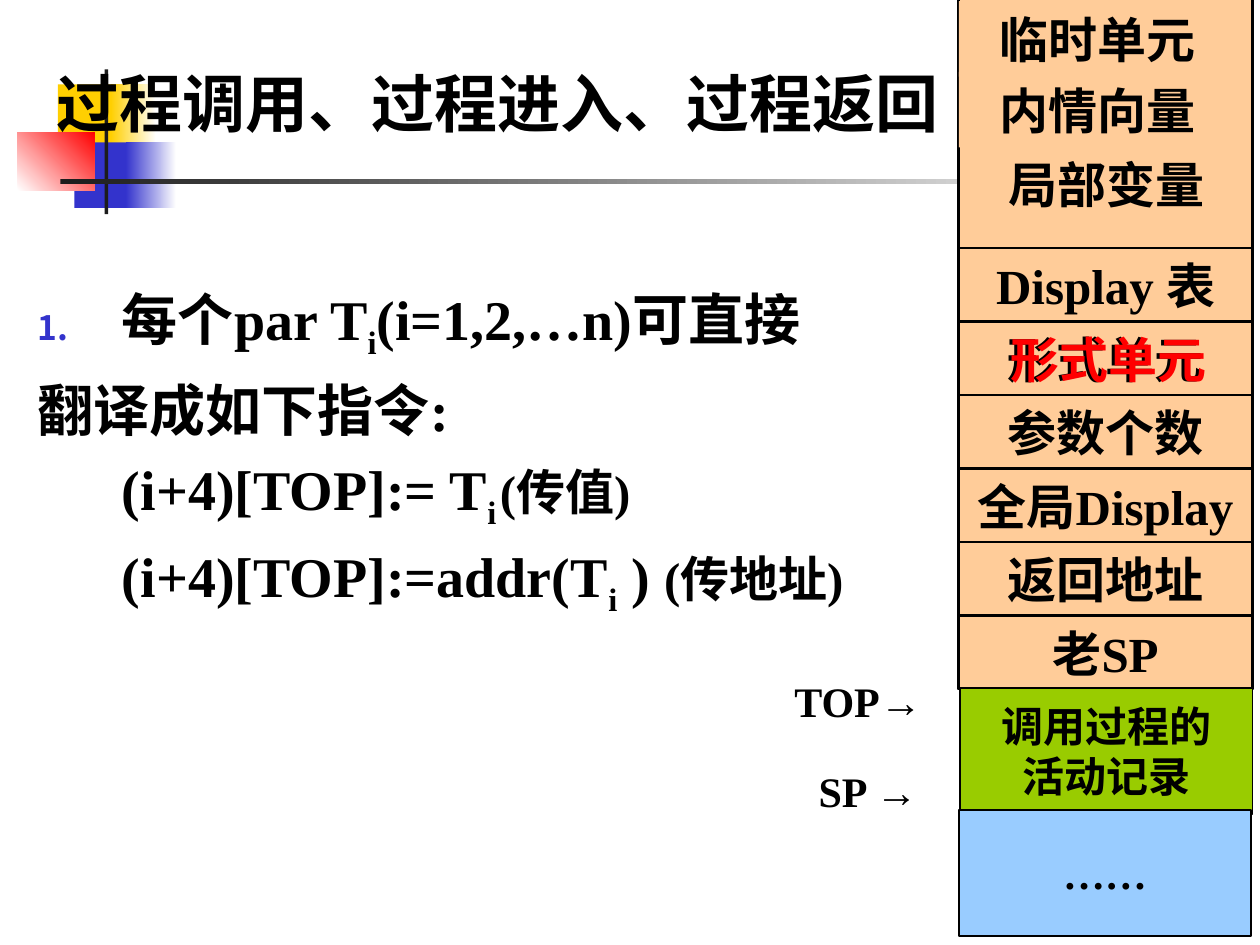
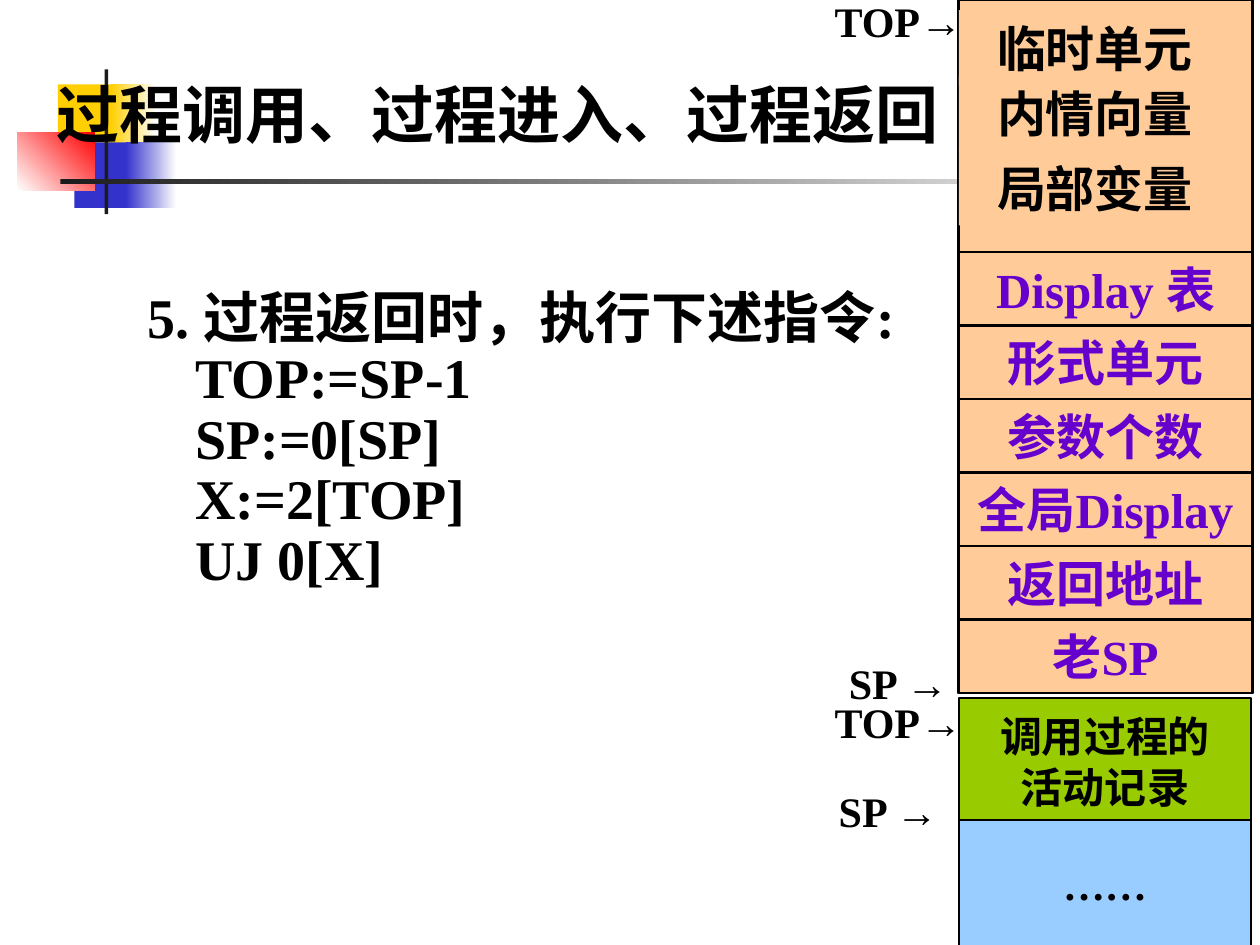
from lxml.etree import SubElement
from pptx import Presentation
from pptx.dml.color import RGBColor as Rgb
from pptx.enum.shapes import MSO_SHAPE as Shape
from pptx.enum.text import MSO_ANCHOR as Anchor, PP_ALIGN as Align
from pptx.oxml.ns import qn
from pptx.util import Inches, Pt

COLORS = {"black": "000000", "white": "FFFFFF", "yellow": "FFCF01",
          "blue": "3333CC", "red": "FF0000", "dark": "1C1C1C",
          "peach": "FFCC99", "green": "99CC00", "sky": "99CCFF",
          "purple": "6600CC"}
SERIF = "Times New Roman"
TITLE = "过程调用、过程进入、过程返回"
STACK_LEFT, STACK_WIDTH, STACK_HEIGHT = 7.61, 2.33, 5.5
LOCALS = ["临时单元", "内情向量", "局部变量"]
ROWS = ["Display 表", "形式单元", "参数个数", "全局Display", "返回地址", "老SP"]
ROWS_OFFSET = 2
CALLER = ["调用过程的", "活动记录"]
DECORATION = [
    ((0.46, 0.67, 0.48, 0.52), ("yellow",), 0),
    ((0.88, 0.67, 0.36, 0.52), ("yellow", "white"), 0),
    ((0.59, 1.13, 0.46, 0.52), ("blue",), 0),
    ((1, 1.13, 0.4, 0.52), ("blue", "white"), 0),
    ((0.14, 1.05, 0.61, 0.46), ("white", "red"), 45),
    ((0.83, 0.55, 0.03, 1.15), ("dark",), 0),
    ((0.48, 1.42, 9, 0.04), ("dark", "white"), 0),
]


def rgb(name):
    """Return the named colour."""
    return Rgb.from_string(COLORS[name])


def apply(target, values):
    """Set each attribute of the target from a dict."""
    for key, value in values.items():
        setattr(target, key, value)


def add_span(para, text, size, color="black", font=SERIF, baseline=0):
    """Add one bold run to a paragraph."""
    span = para.add_run()
    span.text = text
    apply(span.font, {"size": Pt(size), "bold": True, "name": font})
    span.font.color.rgb = rgb(color)
    if baseline:
        span._r.get_or_add_rPr().set("baseline", str(baseline * 1000))


def add_paragraph(frame, spans, size, color="black", **layout):
    """Add a paragraph of (text, changes) spans, reusing an empty first one."""
    first = frame.paragraphs[0]
    para = frame.add_paragraph() if first.runs else first
    apply(para, layout)
    for text, changes in spans:
        add_span(para, text, **{"size": size, "color": color, **changes})
    return para


def add_text_box(page, place, wrap=True, anchor=Anchor.TOP):
    """Add an empty text box and return its text frame."""
    frame = page.shapes.add_textbox(*map(Inches, place)).text_frame
    apply(frame, {"word_wrap": wrap, "vertical_anchor": anchor})
    return frame


def add_box(page, place, fills, angle=0, line=0):
    """Add a rectangle with a solid or two-colour gradient fill."""
    box = page.shapes.add_shape(Shape.RECTANGLE, *map(Inches, place))
    box.shadow.inherit = False
    if len(fills) == 1:
        box.fill.solid()
        box.fill.fore_color.rgb = rgb(fills[0])
    else:
        box.fill.gradient()
        box.fill.gradient_angle = angle
        for stop, name in zip(box.fill.gradient_stops, fills):
            stop.color.rgb = rgb(name)
    if line:
        box.line.width = Pt(line)
        box.line.color.rgb = rgb("black")
    else:
        box.line.fill.background()
    return box


def add_cell(page, place, lines, fill="peach", size=28, color="black", line=0):
    """Add a filled cell with centred lines of text."""
    frame = add_box(page, place, [fill], line=line).text_frame
    apply(frame, {"word_wrap": False, "vertical_anchor": Anchor.MIDDLE})
    for text in lines:
        add_paragraph(frame, [(text, {})], size, color, alignment=Align.CENTER)


def add_decoration(page):
    """Add the coloured squares and rules behind the title."""
    for place, fills, angle in DECORATION:
        add_box(page, place, fills, angle)


def add_title(page, place):
    """Add the shared title."""
    frame = add_text_box(page, place, anchor=Anchor.MIDDLE)
    add_paragraph(frame, [(TITLE, {})], 36)


def add_stack(page, top, local_places, row_color):
    """Add the activation record: frame, local cells and linkage rows."""
    add_box(page, (STACK_LEFT, top, STACK_WIDTH, STACK_HEIGHT), ["peach"], line=1.5)
    for text, place in zip(LOCALS, local_places):
        add_cell(page, place, [text])
    height = (STACK_HEIGHT - ROWS_OFFSET) / len(ROWS)
    for index, text in enumerate(ROWS):
        place = (STACK_LEFT, top + ROWS_OFFSET + index * height, STACK_WIDTH, height)
        add_cell(page, place, [text], color=row_color, line=1.5)


def add_caller(page, left, top):
    """Add the caller's record and the rest of the stack."""
    add_cell(page, (left, top, 2.32, 1), CALLER, "green", 24, line=1)
    add_cell(page, (STACK_LEFT, top + 0.97, 2.32, 1), ["……"], "sky", 24, line=1)


def add_pointer(page, name, left, top):
    """Add a stack pointer label with its arrow sign."""
    frame = add_text_box(page, (left, top, 1.42, 0.33), False, Anchor.MIDDLE)
    add_paragraph(frame, [(name, {}), ("→", {"font": "Arial"})], 24,
                  alignment=Align.CENTER)


def indent(para, left, first=0):
    """Set the left margin and first-line indent of a paragraph."""
    properties = para._p.get_or_add_pPr()
    properties.set("marL", str(Inches(left)))
    properties.set("indent", str(Inches(first)))
    return properties


def add_number(properties):
    """Give a paragraph a small blue automatic number."""
    color = SubElement(properties, qn("a:buClr"))
    SubElement(color, qn("a:srgbClr"), val=COLORS["blue"])
    SubElement(properties, qn("a:buSzPct"), val="60000")
    SubElement(properties, qn("a:buFont"), typeface="Arial")
    SubElement(properties, qn("a:buAutoNum"), type="arabicPeriod")


def add_tab(properties, position):
    """Add a left tab stop to a paragraph."""
    tabs = SubElement(properties, qn("a:tabLst"))
    SubElement(tabs, qn("a:tab"), pos=str(Inches(position)), algn="l")


def add_parameter_text(page):
    """Add the text on passing parameters."""
    frame = add_text_box(page, (0.2, 2.21, 6.93, 4.5))
    sub, note = ("i", {"baseline": -25}), {"size": 28}
    para = add_paragraph(
        frame, [("每个par T", {}), sub, ("(i=1,2,…n)可直接", {})], 32)
    add_number(indent(para, 0.67, -0.67))
    add_paragraph(frame, [("翻译成如下指令:", {})], 32, space_before=Pt(8))
    para = add_paragraph(
        frame, [("(i+4)[TOP]:= T", {}), sub, ("\t", {}), ("(传值)", note)],
        32, space_before=Pt(7))
    add_tab(indent(para, 0.67), 4.2)
    para = add_paragraph(
        frame, [("(i+4)[TOP]:=addr(T", {}), sub, (" ) ", {}), ("(传地址)", note)],
        32, space_before=Pt(6))
    indent(para, 0.67)


def add_return_text(page):
    """Add the instructions run on procedure return."""
    frame = add_text_box(page, (1.07, 2.25, 6.61, 3.32))
    add_paragraph(frame, [("5. 过程返回时，执行下述指令:", {})], 32, line_spacing=0.9)
    for code in ["TOP:=SP-1", "SP:=0[SP]", "X:=2[TOP]", "UJ 0[X]"]:
        indent(add_paragraph(frame, [(code, {})], 32, line_spacing=0.9), 0.38)


def build_parameter_page(page):
    """Build the slide on passing parameters."""
    add_decoration(page)
    add_title(page, (0.35, 0.39, 7.32, 0.84))
    add_parameter_text(page)
    add_stack(page, -0.03, [(STACK_LEFT, 0.01, 2.2, 0.6),
                            (STACK_LEFT, 0.57, 2.2, 0.6),
                            (7.68, 1.16, 2.2, 0.6)], "black")
    add_pointer(page, "TOP", 6.1, 5.4)
    add_pointer(page, "SP ", 6.18, 6.11)
    add_caller(page, 7.62, 5.46)
    frame = add_text_box(page, (7.88, 2.57, 1.84, 0.57))
    add_paragraph(frame, [("形式单元", {})], 28, "red", alignment=Align.CENTER)


def build_return_page(page):
    """Build the slide on procedure return."""
    add_decoration(page)
    add_return_text(page)
    add_stack(page, 0, [(STACK_LEFT, top, 2.16, 0.6) for top in (0.08, 0.6, 1.19)],
              "purple")
    add_caller(page, STACK_LEFT, 5.54)
    for name, left, top in [("TOP", 6.42, 0), ("SP ", 6.42, 5.25),
                            ("TOP", 6.42, 5.56), ("SP ", 6.34, 6.27)]:
        add_pointer(page, name, left, top)
    add_title(page, (0.35, 0.52, 7.24, 0.75))


def main():
    """Build and save the deck."""
    deck = Presentation()
    apply(deck, {"slide_width": Inches(10), "slide_height": Inches(7.5)})
    for build in (build_parameter_page, build_return_page):
        build(deck.slides.add_slide(deck.slide_layouts[6]))
    deck.save("out.pptx")


if __name__ == "__main__":
    main()
